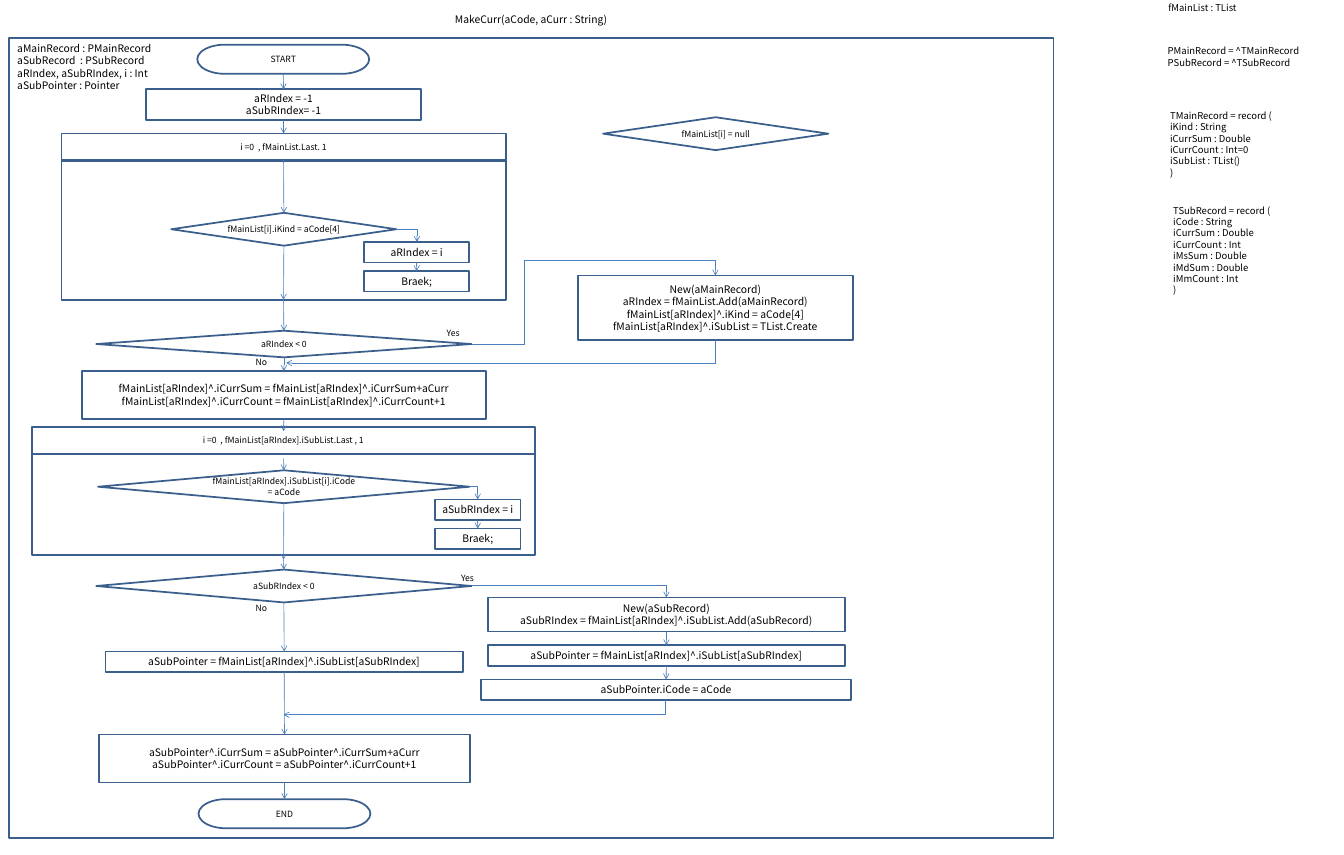
from lxml.etree import SubElement
from pptx import Presentation
from pptx.dml.color import RGBColor
from pptx.enum.shapes import MSO_CONNECTOR as LINK, MSO_SHAPE as SHAPE
from pptx.enum.text import MSO_ANCHOR as ANCHOR, MSO_AUTO_SIZE as FIT, PP_ALIGN as ALIGN
from pptx.oxml.ns import qn
from pptx.util import Inches, Pt

FONT = "Noto Sans CJK KR"
OUTLINE, ARROW, INK = "3A5F8C", "4B7EBC", "000000"


def write(frame, text, size, align, margins):
    frame.auto_size = FIT.NONE
    frame.margin_left = frame.margin_right = Inches(margins[0])
    frame.margin_top = frame.margin_bottom = Inches(margins[1])
    frame.text = text
    for line in frame.paragraphs:
        line.alignment = align
        line.line_spacing = Pt(size * 1.2)
        line.font.name = FONT
        line.font.size = Pt(size)
        line.font.color.rgb = RGBColor.from_string(INK)


def arrow(kind, x1, y1, x2, y2):
    link = slide.shapes.add_connector(kind, Inches(x1), Inches(y1), Inches(x2), Inches(y2))
    link.line.color.rgb = RGBColor.from_string(ARROW)
    link.line.width = Pt(0.75)
    properties = link._element.spPr
    SubElement(properties.find(qn("a:ln")), qn("a:tailEnd"), type="arrow")
    SubElement(properties, qn("a:effectLst"))
    return link


deck = Presentation()
deck.slide_width, deck.slide_height = Inches(21.66), Inches(13.78)
slide = deck.slides.add_slide(deck.slide_layouts[5])

title = slide.shapes.title
title.left, title.top, title.width, title.height = map(Inches, (0.14, 0.06, 16.84, 0.5))
write(title.text_frame, "MakeCurr(aCode, aCurr : String)", 12, ALIGN.CENTER, (0, 0))
title.text_frame.vertical_anchor = ANCHOR.MIDDLE

box, choice, terminal = SHAPE.RECTANGLE, SHAPE.FLOWCHART_DECISION, SHAPE.FLOWCHART_TERMINATOR
get_pointer = "aSubPointer = fMainList[aRIndex]^.iSubList[aSubRIndex]"
steps = [
    ("frame", box, 0.14, 0.61, 16.84, 12.9, 12, ""),
    ("start", terminal, 3.18, 0.72, 2.77, 0.47, 10, "START"),
    ("init", box, 2.35, 1.44, 4.44, 0.49, 12, "aRIndex = -1\naSubRIndex= -1"),
    ("main head", box, 0.99, 2.15, 7.16, 0.44, 10, "i =0  , fMainList.Last. 1"),
    ("main loop", box, 0.99, 2.58, 7.16, 2.25, 10, ""),
    ("main test", choice, 2.76, 3.43, 3.63, 0.53, 10, "fMainList[i].iKind = aCode[4]"),
    ("main found", box, 5.87, 3.9, 1.69, 0.33, 12, "aRIndex = i"),
    ("main break", box, 5.87, 4.37, 1.69, 0.33, 12, "Braek;"),
    ("main check", choice, 1.55, 5.33, 6.05, 0.43, 10, "aRIndex < 0"),
    ("main new", box, 9.31, 4.44, 4.44, 1.04, 12,
     "New(aMainRecord)\naRIndex = fMainList.Add(aMainRecord)\n"
     "fMainList[aRIndex]^.iKind = aCode[4]\nfMainList[aRIndex]^.iSubList = TList.Create"),
    ("main sum", box, 1.32, 5.98, 6.51, 0.77, 12,
     "fMainList[aRIndex]^.iCurrSum = fMainList[aRIndex]^.iCurrSum+aCurr\n"
     "fMainList[aRIndex]^.iCurrCount = fMainList[aRIndex]^.iCurrCount+1"),
    ("sub head", box, 0.51, 6.88, 8.11, 0.44, 10, "i =0  , fMainList[aRIndex].iSubList.Last , 1"),
    ("sub loop", box, 0.51, 7.32, 8.11, 1.63, 10, ""),
    ("sub test", choice, 1.58, 7.58, 5.99, 0.53, 10, "fMainList[aRIndex].iSubList[i].iCode\n= aCode"),
    ("sub found", box, 7.01, 8.05, 1.38, 0.33, 12, "aSubRIndex = i"),
    ("sub break", box, 7.01, 8.52, 1.38, 0.33, 12, "Braek;"),
    ("sub check", choice, 1.55, 9.18, 6.05, 0.53, 10, "aSubRIndex < 0"),
    ("sub new", box, 7.86, 9.63, 5.76, 0.55, 12,
     "New(aSubRecord)\naSubRIndex = fMainList[aRIndex]^.iSubList.Add(aSubRecord)"),
    ("new pointer", box, 7.86, 10.4, 5.76, 0.33, 12, get_pointer),
    ("new code", box, 7.75, 10.95, 5.97, 0.33, 12, "aSubPointer.iCode = aCode"),
    ("pointer", box, 1.7, 10.5, 5.76, 0.33, 12, get_pointer),
    ("sub sum", box, 1.6, 11.84, 5.97, 0.77, 12,
     "aSubPointer^.iCurrSum = aSubPointer^.iCurrSum+aCurr\n"
     "aSubPointer^.iCurrCount = aSubPointer^.iCurrCount+1"),
    ("end", terminal, 3.2, 12.88, 2.77, 0.47, 10, "END"),
    ("null test", choice, 9.72, 1.89, 3.63, 0.53, 10, "fMainList[i] = null"),
]
flow = {}
for key, outline, left, top, width, height, size, text in steps:
    step = slide.shapes.add_shape(outline, Inches(left), Inches(top), Inches(width), Inches(height))
    step.shadow.inherit = False
    step.fill.background()
    step.line.color.rgb = RGBColor.from_string(OUTLINE)
    step.line.width = Pt(2)
    if text:
        write(step.text_frame, text, size, ALIGN.CENTER, (0, 0.01 if outline == choice else 0))
        step.text_frame.vertical_anchor = ANCHOR.MIDDLE
        step.text_frame.word_wrap = False
    flow[key] = step

notes = [
    (0.18, 0.63, 3.16, 0.91, 12, "aMainRecord : PMainRecord\naSubRecord  : PSubRecord\n"
     "aRIndex, aSubRIndex, i : Int\naSubPointer : Pointer"),
    (18.73, -0.01, 2.67, 0.29, 11, "fMainList : TList"),
    (18.72, 0.68, 2.38, 0.47, 11, "PMainRecord = ^TMainRecord\nPSubRecord = ^TSubRecord"),
    (18.76, 1.72, 2.33, 1.21, 11, "TMainRecord = record (\niKind : String\niCurrSum : Double\n"
     "iCurrCount : Int=0\niSubList : TList()\n)"),
    (18.81, 3.25, 2.33, 1.58, 11, "TSubRecord = record (\niCode : String\niCurrSum : Double\n"
     "iCurrCount : Int\niMsSum : Double\niMdSum : Double\niMmCount : Int\n)"),
    (7.2, 5.29, 0.4, 0.17, 10, "Yes"),
    (4.12, 5.76, 0.25, 0.17, 10, "No"),
    (7.43, 9.23, 0.4, 0.17, 10, "Yes"),
    (4.12, 9.71, 0.32, 0.17, 10, "No"),
]
for left, top, width, height, size, text in notes:
    note = slide.shapes.add_textbox(Inches(left), Inches(top), Inches(width), Inches(height))
    write(note.text_frame, text, size, ALIGN.LEFT, (0, 0) if size == 10 else (0.1, 0.05))
    note.text_frame.word_wrap = size > 10

TOP, BOTTOM = 0, 2
falls = [
    (4.57, 1.19, 1.44, ("start", BOTTOM), ("init", TOP)),
    (4.57, 1.93, 2.15, ("init", BOTTOM), ("main head", TOP)),
    (4.57, 2.58, 3.43, ("main loop", TOP), ("main test", TOP)),
    (4.57, 3.96, 4.83, ("main test", BOTTOM), ("main loop", BOTTOM)),
    (4.57, 4.83, 5.33, ("main loop", BOTTOM), ("main check", TOP)),
    (6.72, 4.23, 4.37, ("main found", BOTTOM), ("main break", TOP)),
    (4.57, 5.76, 5.98, ("main check", BOTTOM), ("main sum", TOP)),
    (4.57, 6.75, 6.95, ("main sum", BOTTOM), None),
    (4.57, 7.39, 7.58, None, ("sub test", TOP)),
    (4.57, 8.11, 9.02, ("sub test", BOTTOM), None),
    (4.57, 9.02, 9.18, None, ("sub check", TOP)),
    (7.7, 8.38, 8.52, ("sub found", BOTTOM), ("sub break", TOP)),
    (4.58, 9.71, 10.5, ("sub check", BOTTOM), ("pointer", TOP)),
    (4.58, 10.83, 11.84, ("pointer", BOTTOM), ("sub sum", TOP)),
    (4.58, 12.61, 12.88, ("sub sum", BOTTOM), ("end", TOP)),
    (10.74, 10.18, 10.4, ("sub new", BOTTOM), ("new pointer", TOP)),
    (10.74, 10.73, 10.95, ("new pointer", BOTTOM), ("new code", TOP)),
]
for x, y1, y2, source, target in falls:
    fall = arrow(LINK.STRAIGHT, x, y1, x, y2)
    if source:
        fall.begin_connect(flow[source[0]], source[1])
    if target:
        fall.end_connect(flow[target[0]], target[1])

for x1, y1, x2, y2 in [(6.38, 3.69, 6.72, 3.9), (7.56, 7.84, 7.7, 8.05), (7.6, 9.44, 10.74, 9.63)]:
    branch = arrow(LINK.ELBOW, x1, y1, x2, y2)
    branch._element.spPr.find(qn("a:prstGeom")).set("prst", "bentConnector2")

for x1, y1, x2, y2 in [(11.53, 5.48, 4.61, 5.85), (10.73, 11.28, 4.57, 11.52)]:
    middle_x, middle_y = (x1 + x2) / 2, (y1 + y2) / 2
    half_run, half_drop = (x1 - x2) / 2, (y2 - y1) / 2
    merge = arrow(LINK.ELBOW, middle_x - half_drop, middle_y - half_run,
                  middle_x + half_drop, middle_y + half_run)
    merge._element.spPr.find(qn("a:xfrm")).set("rot", "5400000")
    merge._element.spPr.find(qn("a:prstGeom")).set("prst", "bentConnector2")

detour = arrow(LINK.ELBOW, 7.6, 5.55, 11.53, 4.44)
bend = detour._element.spPr.find(qn("a:prstGeom"))
bend.set("prst", "bentConnector4")
for name, share in (("adj1", 21800), ("adj2", 122400)):
    SubElement(bend.find(qn("a:avLst")), qn("a:gd"), name=name, fmla=f"val {share}")

deck.save("out.pptx")
